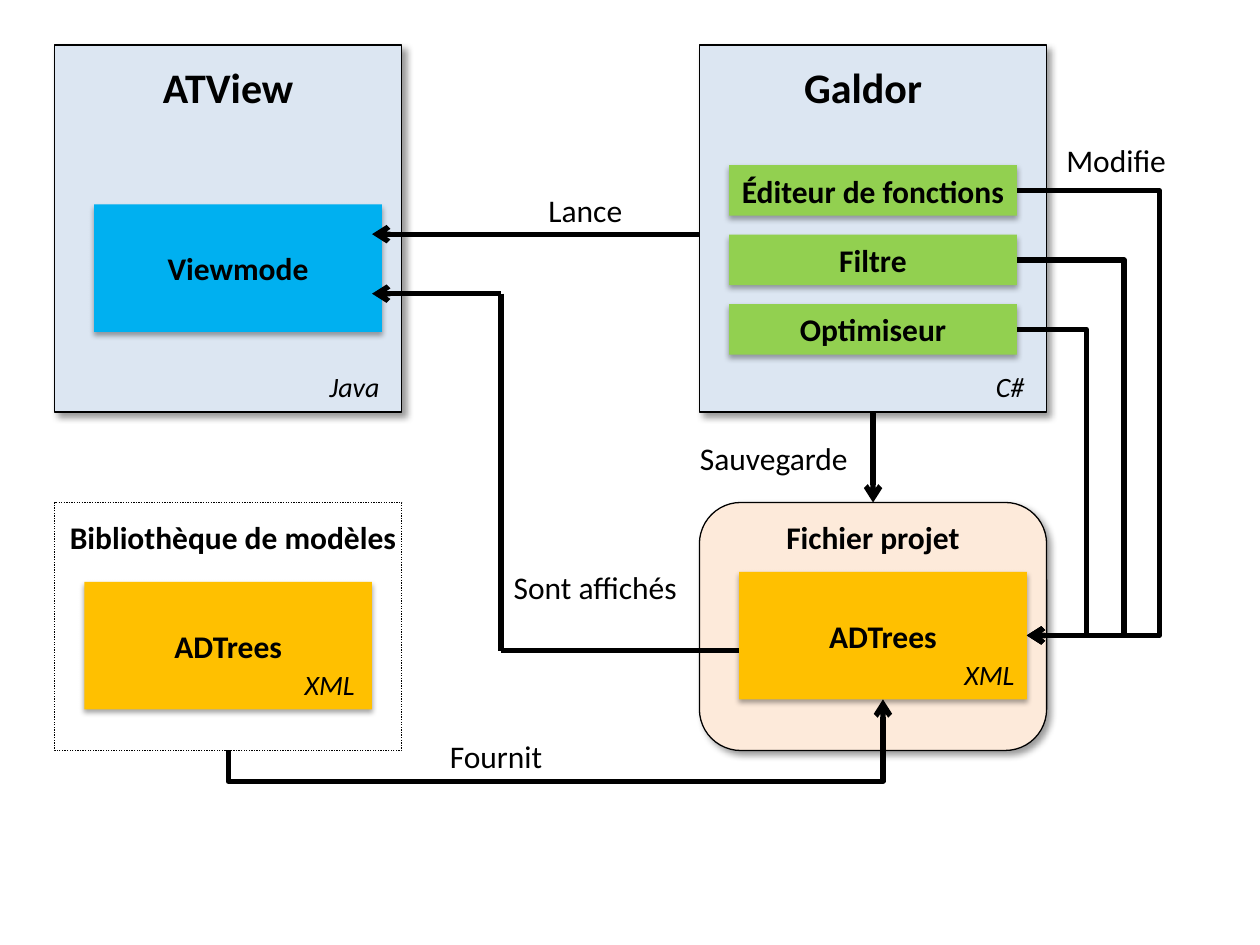
from lxml.etree import SubElement
from pptx import Presentation
from pptx.dml.color import RGBColor
from pptx.enum.dml import MSO_LINE
from pptx.enum.shapes import MSO_CONNECTOR, MSO_SHAPE
from pptx.enum.text import MSO_ANCHOR, PP_ALIGN
from pptx.oxml.ns import qn
from pptx.util import Cm, Pt

INK = "000000"
PANEL = (7, 7.4)
STORE = (7, 5)
BLOCK = (5.8, 2.57)
BAR = (5.8, 1.02)
DEEP = {"blurRad": Pt(4), "dist": Pt(3), "dir": 45 * 60000}
SOFT = {"blurRad": Pt(3.1), "dist": Pt(1.8), "dir": 90 * 60000}
BOLD = {"size": Pt(18), "bold": True}
TITLE = {"size": Pt(24), "bold": True}
PLAIN = {"size": Pt(18)}
NOTE = {"size": Pt(16), "italic": True}


def color(code):
    return RGBColor.from_string(code)


def write(frame, text, style, align=PP_ALIGN.CENTER):
    par = frame.paragraphs[0]
    par.alignment = align
    run = par.add_run()
    run.text = text
    for key, value in {"name": "Calibri", **style}.items():
        setattr(run.font, key, value)
    run.font.color.rgb = color(INK)


def label(slide, left, top, width, height, text, style, align=PP_ALIGN.CENTER):
    box = slide.shapes.add_textbox(Cm(left), Cm(top), Cm(width), Cm(height))
    box.text_frame.word_wrap = True
    write(box.text_frame, text, style, align)


def note(slide, left, top, text):
    label(slide, left, top, 3.2, 0.94, text, NOTE, PP_ALIGN.RIGHT)


def shade(shape, values, alpha):
    effects = shape._element.spPr.find(qn("a:effectLst"))
    outer = SubElement(effects, qn("a:outerShdw"), rotWithShape="0")
    for key, value in values.items():
        outer.set(key, str(int(value)))
    tone = SubElement(outer, qn("a:srgbClr"), val=INK)
    SubElement(tone, qn("a:alpha"), val=str(alpha * 1000))


def area(slide, left, top, size, fill=None, kind=MSO_SHAPE.RECTANGLE):
    shape = slide.shapes.add_shape(kind, Cm(left), Cm(top), *map(Cm, size))
    shape.shadow.inherit = False
    shape.line.color.rgb = color(INK)
    shape.line.width = Pt(0.75)
    if fill:
        shape.fill.solid()
        shape.fill.fore_color.rgb = color(fill)
        shade(shape, DEEP, 40)
    else:
        shape.fill.background()
        shape.line.dash_style = MSO_LINE.ROUND_DOT
    return shape


def block(slide, left, top, size, fill, text):
    shape = slide.shapes.add_shape(MSO_SHAPE.RECTANGLE, Cm(left), Cm(top), *map(Cm, size))
    shape.shadow.inherit = False
    shape.fill.solid()
    shape.fill.fore_color.rgb = color(fill)
    shape.line.fill.background()
    shade(shape, SOFT, 35)
    frame = shape.text_frame
    frame.word_wrap = True
    frame.margin_left = frame.margin_right = 0
    frame.vertical_anchor = MSO_ANCHOR.MIDDLE
    write(frame, text, BOLD)


def link(slide, start, end, arrow=True, kind=MSO_CONNECTOR.STRAIGHT):
    line = slide.shapes.add_connector(kind, *map(Cm, start + end))
    line.line.color.rgb = color(INK)
    line.line.width = Pt(3)
    props = line._element.spPr
    if arrow:
        SubElement(props.find(qn("a:ln")), qn("a:tailEnd"), type="arrow")
    SubElement(props, qn("a:effectLst"))
    return line


def elbow(slide, start, end, share):
    line = link(slide, start, end, kind=MSO_CONNECTOR.ELBOW)
    shape = line._element.spPr.find(qn("a:prstGeom"))
    guides = shape.find(qn("a:avLst"))
    if guides is None:
        guides = SubElement(shape, qn("a:avLst"))
    SubElement(guides, qn("a:gd"), name="adj1", fmla=f"val {round(share * 100000)}")
    return line


def across(slide, start, end, via):
    elbow(slide, start, end, (via - start[0]) / (end[0] - start[0]))


def under(slide, start, end, via):
    midx, midy = (start[0] + end[0]) / 2, (start[1] + end[1]) / 2
    halfx, halfy = (end[0] - start[0]) / 2, (start[1] - end[1]) / 2
    share = (via - start[1]) / (end[1] - start[1])
    line = elbow(slide, (midx + halfy, midy + halfx), (midx - halfy, midy - halfx), share)
    line._element.spPr.find(qn("a:xfrm")).set("rot", str(90 * 60000))


def main():
    deck = Presentation()
    deck.slide_width, deck.slide_height = Cm(25.4), Cm(19.05)
    slide = deck.slides.add_slide(deck.slide_layouts[6])

    area(slide, 1.1, 0.91, PANEL, "DCE6F2")
    label(slide, 1.3, 1.12, 6.6, 1.27, "ATView", TITLE)
    block(slide, 1.9, 4.12, BLOCK, "00B0F0", "Viewmode")

    store = area(slide, 14.1, 10.13, STORE, "FDEADA", MSO_SHAPE.ROUNDED_RECTANGLE)
    label(slide, 14.1, 10.31, 7, 1.02, "Fichier projet", BOLD)
    block(slide, 14.9, 11.53, BLOCK, "FFC000", "ADTrees")

    panel = area(slide, 14.1, 0.91, PANEL, "DCE6F2")
    label(slide, 14.1, 1.12, 6.6, 1.27, "Galdor", TITLE)

    area(slide, 1.1, 10.13, STORE)
    label(slide, 1, 10.31, 7.4, 1.02, "Bibliothèque de modèles", BOLD)
    block(slide, 1.7, 11.73, BLOCK, "FFC000", "ADTrees")

    tools = [("Éditeur de fonctions", 23.37), ("Filtre", 22.66), ("Optimiseur", 21.9)]
    for row, (text, via) in enumerate(tools):
        top = 3.33 + 1.4 * row
        block(slide, 14.7, top, BAR, "92D050", text)
        across(slide, (20.5, top + 0.51), (20.7, 12.81), via)

    under(slide, (4.6, 15.13), (17.8, 14.1), 15.75)
    save = link(slide, (17.6, 8.31), (17.6, 10.13))
    save.begin_connect(panel, 2)
    save.end_connect(store, 0)
    link(slide, (14.1, 4.72), (7.5, 4.72))
    link(slide, (14.9, 13.12), (10.1, 13.12), False)
    link(slide, (10.1, 5.92), (10.1, 13.12), False)
    link(slide, (10.1, 5.92), (7.5, 5.92))

    for left, top, width, text in [
        (21.1, 2.71, 2.8, "Modifie"),
        (8.5, 14.73, 3, "Fournit"),
        (10.1, 11.33, 3.8, "Sont affichés"),
        (13.7, 8.73, 3.8, "Sauvegarde"),
        (10.3, 3.73, 3, "Lance"),
    ]:
        label(slide, left, top, width, 1.02, text, PLAIN)

    note(slide, 4.7, 7.32, "Java")
    note(slide, 17.7, 7.32, "C#")
    note(slide, 17.5, 13.13, "XML")
    note(slide, 4.2, 13.33, "XML")
    deck.save("out.pptx")


if __name__ == "__main__":
    main()
